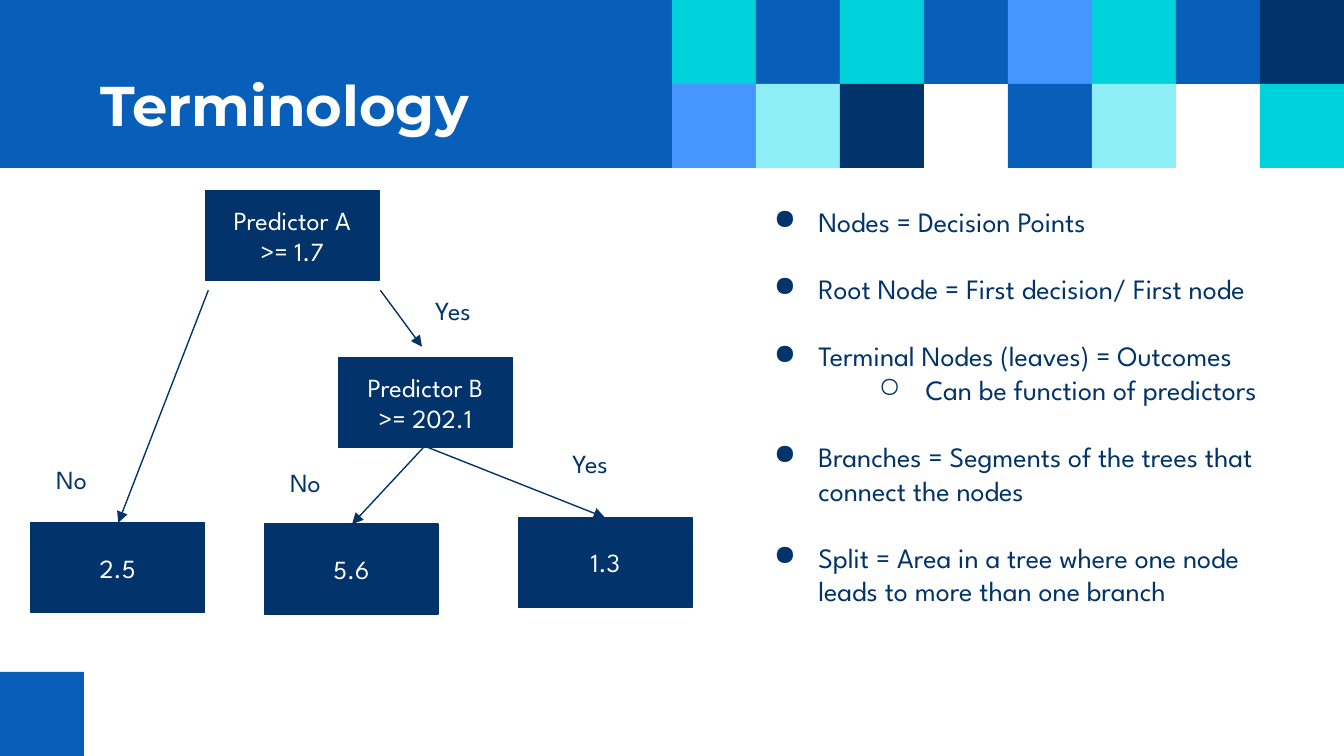
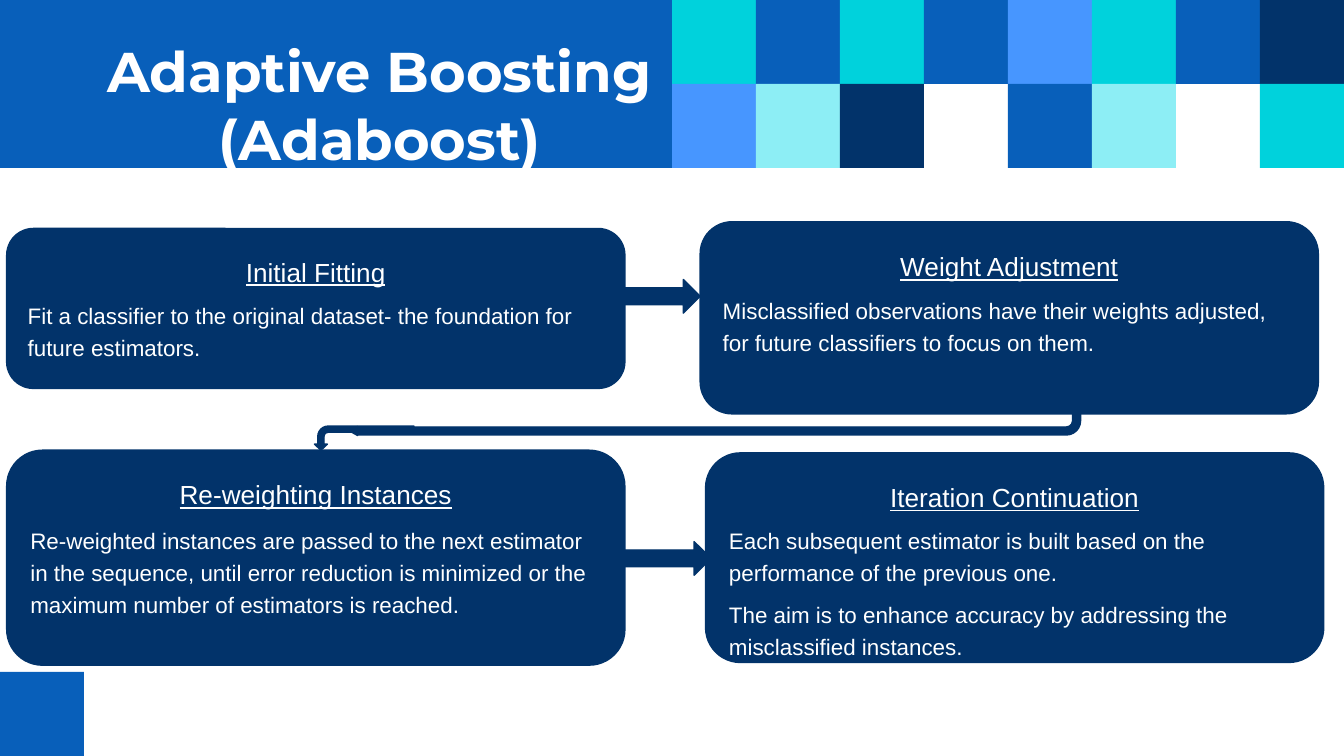
from dataclasses import dataclass
from typing import Any, NamedTuple, Optional

from lxml import etree
from pptx import Presentation, util as u
from pptx.dml.color import RGBColor
from pptx.enum import shapes, text
from pptx.oxml import ns

IN = u.Inches
PRESET = shapes.MSO_SHAPE
CENTER = text.PP_ALIGN.CENTER
LEFT = text.PP_ALIGN.LEFT


@dataclass(frozen=True)
class Theme:
    blue: str = "085FBA"
    navy: str = "02336A"
    cyan: str = "00D2DC"
    sky: str = "4796FF"
    pale: str = "8DEEF5"
    white: str = "FFFFFF"
    title_font: str = "Montserrat"
    tree_font: str = "League Spartan"
    card_font: str = "Arial"
    title_size: int = 30
    list_size: int = 15
    label_size: int = 14
    body_size: int = 12
    outline: float = 0.75


THEME = Theme()
TILE = 10 / 16
NODE_SIZE = (1.29, 0.67)
LABEL_SIZE = (0.56, 0.48)
CARD_WIDTH = 4.6

# Mosaic beside the title, row by row; None leaves the background free
MOSAIC = [
    [THEME.cyan, THEME.blue, THEME.cyan, THEME.blue,
     THEME.sky, THEME.cyan, THEME.blue, THEME.navy],
    [THEME.sky, THEME.pale, THEME.navy, None,
     THEME.blue, THEME.pale, None, THEME.cyan],
]


class Box(NamedTuple):
    left: float
    top: float
    width: float
    height: float


class Para(NamedTuple):
    words: str
    size: float
    font: str
    color: str
    bold: bool = False
    underline: bool = False
    align: Any = LEFT
    spacing: Optional[float] = None
    before: float = 0
    bullet: str = ""
    level: int = 0
    margin: float = 0
    hang: float = 0


class Caption(NamedTuple):
    words: str
    left: float
    top: float


class Branch(NamedTuple):
    x1: float
    y1: float
    x2: float
    y2: float


class Term(NamedTuple):
    words: str
    sub: bool = False


class Card(NamedTuple):
    left: float
    top: float
    height: float
    heading: str
    body: list[str]
    heading_spacing: float = 1.2
    before: float = 5


class Arrow(NamedTuple):
    preset: Any
    box: Box
    adjustments: list[float]
    rotation: float = 0
    flipped: bool = False


# Slide content
NODES = [
    Caption("Predictor A >= 1.7", 1.53, 1.42),
    Caption("Predictor B >= 202.1", 2.52, 2.66),
    Caption("2.5", 0.23, 3.89),
    Caption("5.6", 1.97, 3.9),
    Caption("1.3", 3.86, 3.85),
]
BRANCHES = [
    Branch(2.83, 2.16, 3.14, 2.58),
    Branch(1.55, 2.16, 0.88, 3.89),
    Branch(3.16, 3.32, 4.5, 3.85),
    Branch(3.16, 3.32, 2.62, 3.9),
]
ANSWERS = [
    Caption("Yes", 3.14, 2.09),
    Caption("No", 0.32, 3.35),
    Caption("Yes", 4.16, 3.23),
    Caption("No", 2.06, 3.37),
]
TERMS = [
    Term("Nodes = Decision Points"),
    Term("Root Node = First decision/ First node"),
    Term("Terminal Nodes (leaves) = Outcomes"),
    Term("Can be function of predictors", sub=True),
    Term("Branches = Segments of the trees that connect the nodes"),
    Term("Split = Area in a tree where one node leads to more than one branch"),
]
CARDS = [
    Card(0.05, 1.7, 1.19, "Initial Fitting",
         ["Fit a classifier to the original dataset- the foundation for "
          "future estimators."]),
    Card(5.21, 1.65, 1.43, "Weight Adjustment",
         ["Misclassified observations have their weights adjusted, for "
          "future classifiers to focus on them."]),
    Card(0.05, 3.35, 1.6, "Re-weighting Instances",
         ["Re-weighted instances are passed to the next estimator in the "
          "sequence, until error reduction is minimized or the maximum "
          "number of estimators is reached."], 1.15, 6),
    Card(5.25, 3.37, 1.56, "Iteration Continuation",
         ["Each subsequent estimator is built based on the performance of "
          "the previous one.",
          "The aim is to enhance accuracy by addressing the misclassified "
          "instances."], 1.15),
]
ARROWS = [
    Arrow(PRESET.RIGHT_ARROW, Box(4.65, 2.08, 0.56, 0.25), [0.5, 0.5]),
    Arrow(PRESET.BENT_ARROW, Box(2.6, 3, 5.44, 0.24),
          [0.25, 0.14, 0.25, 0.44], 180),
    Arrow(PRESET.BENT_ARROW, Box(2.62, 2.89, 0.18, 0.74),
          [0.26, 0.27, 0.25, 0.43], 270, True),
    Arrow(PRESET.RIGHT_ARROW, Box(4.65, 4.03, 0.64, 0.25), [0.5, 0.5]),
]


# Drawing helpers
def apply(target: Any, values: dict[str, Any]) -> None:
    for key, value in values.items():
        setattr(target, key, value)


def rgb(color: str) -> RGBColor:
    return RGBColor.from_string(color)


def add_bullet(paragraph: Any, para: Para) -> None:
    props = paragraph._p.get_or_add_pPr()
    props.set("marL", str(IN(para.margin)))
    props.set("indent", str(IN(para.hang)))
    tint = etree.SubElement(props, ns.qn("a:buClr"))
    etree.SubElement(tint, ns.qn("a:srgbClr")).set("val", para.color)
    etree.SubElement(props, ns.qn("a:buChar")).set("char", para.bullet)


def write(shape: Any, paras: list[Para], anchor: Any = text.MSO_ANCHOR.TOP,
          insets: tuple[float, ...] = (0.1, 0.1, 0.1, 0.1)) -> None:
    frame = shape.text_frame
    sides = ("margin_left", "margin_top", "margin_right", "margin_bottom")
    apply(frame, {"word_wrap": True, "vertical_anchor": anchor,
                  **dict(zip(sides, map(IN, insets)))})
    for index, para in enumerate(paras):
        paragraph = frame.add_paragraph() if index else frame.paragraphs[0]
        if para.bullet:
            add_bullet(paragraph, para)
        apply(paragraph, {"alignment": para.align, "level": para.level,
                          "line_spacing": para.spacing,
                          "space_before": u.Pt(para.before if index else 0)})
        run = paragraph.add_run()
        run.text = para.words
        apply(run.font, {"name": para.font, "size": u.Pt(para.size),
                         "bold": para.bold, "underline": para.underline})
        run.font.color.rgb = rgb(para.color)


def add_shape(slide: Any, preset: Any, box: Box, fill: str,
              outlined: bool = False) -> Any:
    shape = slide.shapes.add_shape(preset, *map(IN, box))
    shape.shadow.inherit = False
    shape.fill.solid()
    shape.fill.fore_color.rgb = rgb(fill)
    if outlined:
        shape.line.color.rgb = rgb(fill)
        shape.line.width = u.Pt(THEME.outline)
    else:
        shape.line.fill.background()
    return shape


def add_text(slide: Any, box: Box, paras: list[Para]) -> None:
    write(slide.shapes.add_textbox(*map(IN, box)), paras)


def add_branch(slide: Any, branch: Branch) -> None:
    connector = slide.shapes.add_connector(
        shapes.MSO_CONNECTOR.STRAIGHT, *map(IN, branch))
    connector.line.color.rgb = rgb(THEME.navy)
    connector.line.width = u.Pt(THEME.outline)
    etree.SubElement(connector.line._get_or_add_ln(),
                     ns.qn("a:tailEnd")).set("type", "triangle")
    etree.SubElement(connector._element.spPr, ns.qn("a:effectLst"))


def add_arrow(slide: Any, arrow: Arrow) -> None:
    shape = add_shape(slide, arrow.preset, arrow.box, THEME.navy, True)
    for index, value in enumerate(arrow.adjustments):
        shape.adjustments[index] = value
    shape.rotation = arrow.rotation
    if arrow.flipped:
        shape._element.spPr.get_or_add_xfrm().set("flipH", "1")


def add_card(slide: Any, card: Card) -> None:
    box = Box(card.left, card.top, CARD_WIDTH, card.height)
    heading = Para(card.heading, THEME.label_size, THEME.card_font, THEME.white,
                   underline=True, align=CENTER, spacing=card.heading_spacing)
    body = [Para(words, THEME.body_size, THEME.card_font, THEME.white,
                 spacing=1.2, before=card.before) for words in card.body]
    write(add_shape(slide, PRESET.ROUNDED_RECTANGLE, box, THEME.navy, True),
          [heading, *body])


def term_para(term: Term) -> Para:
    style = (dict(bullet="○", level=1, margin=1, hang=-0.35, align=CENTER)
             if term.sub else
             dict(bullet="●", margin=0.5, hang=-0.33,
                  before=THEME.list_size * 1.2))
    return Para(term.words, THEME.list_size, THEME.tree_font, THEME.navy, **style)


def start_slide(deck: Any, title: str, align: Any) -> Any:
    slide = deck.slides.add_slide(deck.slide_layouts[6])
    for row, colors in enumerate(MOSAIC):
        for column, color in enumerate(colors):
            if color:
                add_shape(slide, PRESET.RECTANGLE,
                          Box(5 + column * TILE, row * TILE, TILE, TILE), color)
    add_shape(slide, PRESET.RECTANGLE, Box(0, 8 * TILE, TILE, TILE), THEME.blue)
    banner = add_shape(slide, PRESET.RECTANGLE, Box(0, 0, 5, 2 * TILE), THEME.blue)
    write(banner, [Para(title, THEME.title_size, THEME.title_font, THEME.white,
                        bold=True, align=align)],
          text.MSO_ANCHOR.MIDDLE, (0.75, 0.3, 0.1, 0))
    return slide


# Slides
def build_terminology(deck: Any) -> None:
    slide = start_slide(deck, "Terminology", LEFT)
    add_text(slide, Box(5.49, 1.42, 4.26, 3.95), [term_para(t) for t in TERMS])
    for branch in BRANCHES:
        add_branch(slide, branch)
    for node in NODES:
        box = Box(node.left, node.top, *NODE_SIZE)
        write(add_shape(slide, PRESET.RECTANGLE, box, THEME.navy, True),
              [Para(node.words, THEME.label_size, THEME.tree_font, THEME.white,
                    align=CENTER)], text.MSO_ANCHOR.MIDDLE)
    for answer in ANSWERS:
        add_text(slide, Box(answer.left, answer.top, *LABEL_SIZE),
                 [Para(answer.words, THEME.label_size, THEME.tree_font, THEME.navy)])


def build_adaboost(deck: Any) -> None:
    slide = start_slide(deck, "Adaptive Boosting (Adaboost)", CENTER)
    for card in CARDS:
        add_card(slide, card)
    for arrow in ARROWS:
        add_arrow(slide, arrow)


def main() -> None:
    deck = Presentation()
    apply(deck, {"slide_width": IN(16 * TILE), "slide_height": IN(9 * TILE)})
    build_terminology(deck)
    build_adaboost(deck)
    deck.save("out.pptx")


if __name__ == "__main__":
    main()
